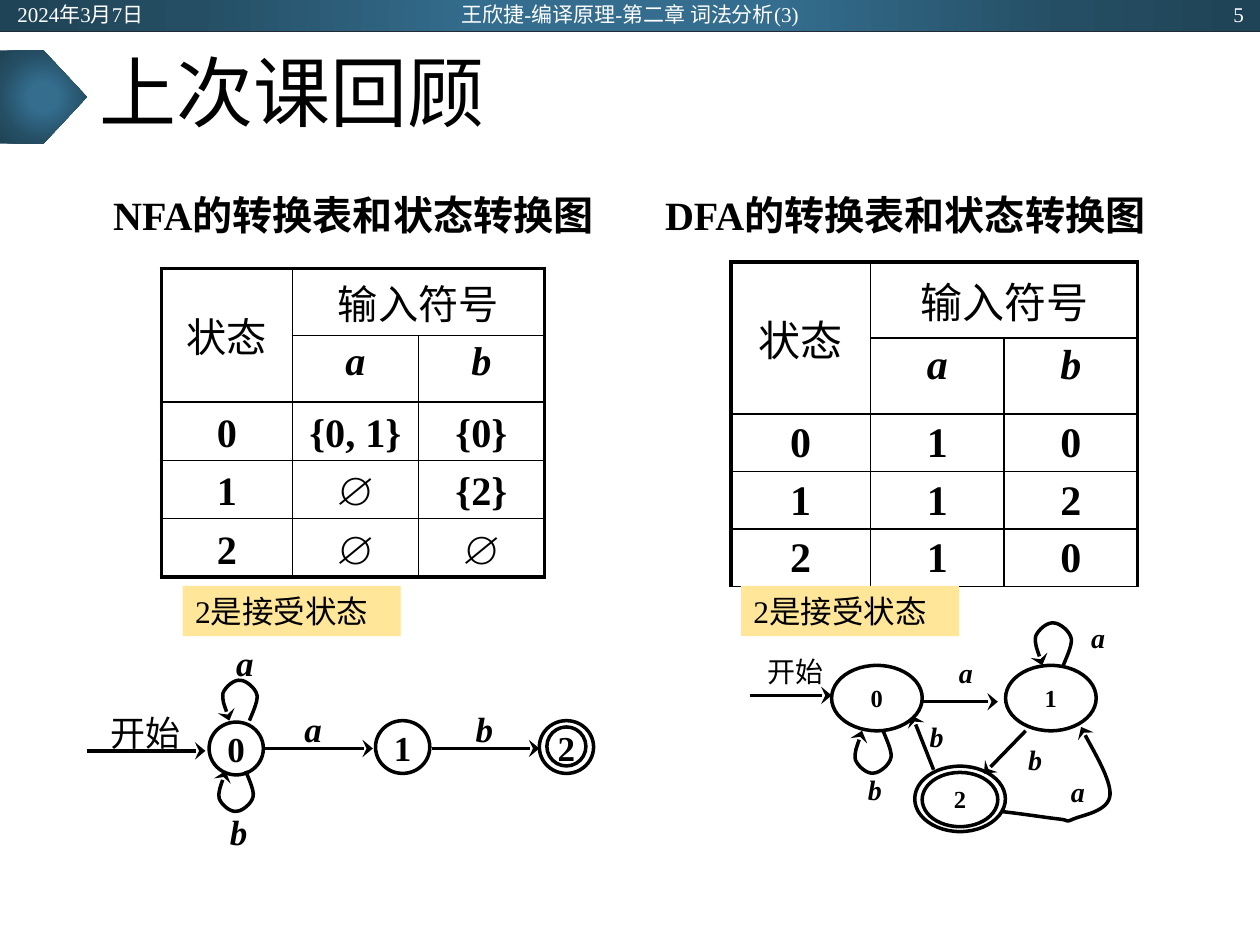
from lxml.etree import SubElement as Sub
from pptx import Presentation
from pptx.dml.color import RGBColor as Rgb
from pptx.enum.shapes import MSO_CONNECTOR as Con, MSO_SHAPE as Geo
from pptx.enum.text import MSO_ANCHOR as Anc, PP_ALIGN as Al
from pptx.oxml import parse_xml
from pptx.oxml.ns import nsdecls, qn
from pptx.util import Pt

# Theme
THEME = dict(
    ink="000000", white="FFFFFF", note="FFE699", rule="222A35",
    grad=[(0, "346D8E"), (23, "346D8E"), (69, "254E64"), (97, "204457")],
    face="Times New Roman", cjk="Noto Sans CJK SC", alt="Karla",
    title=44, head=22.9, bar=12, tip=18, wide=2.25, thin=1, edge=2)
INS = (7.2, 3.6, 7.2, 3.6)
TIGHT = (2.9, 1.4, 2.9, 1.4)

# Content: x, y, w, h, text, format
BAR = [
    (2.9, 0.7, 162, 14.4, "2024年3月7日", dict(align=Al.LEFT)),
    (238.3, 0.7, 243.4, 14.4, "王欣捷-编译原理-第二章 词法分析(3)", {}),
    (555.8, 0.7, 162, 14.4, "5", dict(align=Al.RIGHT))]
HEADS = [(49.7, 304.6, "NFA的转换表和状态转换图"),
         (364.3, 306, "DFA的转换表和状态转换图")]
TOP = [["状态", "输入符号", ""], ["", "a", "b"]]
TABLES = [
    dict(at=(92.2, 153.4), cols=(74.9, 72, 72), rows=(38.2, 38.2, 33.3, 33.3, 33.3),
         size=23, pad=(5, 2.2), drop=5.5, base=THEME["wide"],
         data=TOP + [["0", "{0, 1}", "{0}"], ["1", "∅", "{2}"], ["2", "∅", "∅"]]),
    dict(at=(417.6, 149.8), cols=(79.9, 76.3, 76.3), rows=(43.4, 43.4, 32.8, 32.8, 32.8),
         size=24, pad=(8.6, 4.3), drop=3.6, base=THEME["thin"],
         data=TOP + [["0", "1", "0"], ["1", "1", "2"], ["2", "1", "0"]])]
NOTES = [(104.4, "2是接受状态"), (423.4, "2是接受状态")]
# Graphs: nodes x, y, text; rings x, y; lines x1, y1, x2, y2;
# loops x, y, side (-1 above, 1 below), scale; tags x, y, text
GRAPHS = [
    dict(node=(31, 30.2), ring=(22.3, 22.3), tag=(25.2, 24.5), size=20, tsize=20,
         nodes=[(119.5, 412.6, "0"), (214.6, 411.8, "1"), (308.2, 411.8, "2")],
         rings=[(312.5, 415.4)],
         lines=[(49.7, 429.1, 117.4, 429.1), (151.2, 427.7, 213.1, 427.7),
                (247, 427.7, 308.2, 427.7)],
         loops=[(142.6, 411.8, -1, 1), (140.4, 440.6, 1, 1)], arcs=[],
         start=(58.3, 403.9, 49.7, 28.8),
         tags=[(166.3, 403.9, "a"), (127.4, 366.5, "a"),
               (123.8, 463, "b"), (264.2, 403.9, "b")]),
    dict(node=(51.8, 37.4), ring=(43.2, 31), tag=(26.6, 25.9), size=14, tsize=16,
         nodes=[(475.2, 380.2, "0"), (574.6, 380.2, "1"), (522.7, 437.8, "2")],
         rings=[(527, 441.4)],
         lines=[(428.4, 397.4, 475.2, 397.4), (527, 401, 570.2, 401),
                (586.1, 417.6, 562.3, 442.1), (533.5, 439.9, 521.3, 409)],
         loops=[(504.7, 417.6, 1, 1.05), (607.7, 380.2, -1, 1.05)],
         arcs=[[(571.7, 463.7), (584.6, 465.1), (598.3, 467.3), (604.8, 468),
                (612, 468.7), (608.4, 470.2), (613.4, 468), (618.5, 465.8),
                (633.6, 463.7), (634.3, 454.3), (635, 445.7), (619.9, 420.5),
                (617.8, 415.4)]],
         start=(423.4, 374.4, 62.6, 18.7),
         tags=[(538.6, 371.5, "a"), (486.7, 437.8, "b"), (614.2, 351.4, "a"),
               (578.2, 421.2, "b"), (602.6, 439.2, "a"), (522, 407.9, "b")])]
# Self-loop curve, relative to its start, opening downwards
LOOP = [(0, 0), (0.7, 2.2), (5, 10.8), (4.3, 14.4), (3.6, 18.7), (-2.2, 23),
        (-5, 23), (-8.6, 23.8), (-13.7, 19.4), (-15.1, 15.8), (-15.8, 11.5),
        (-12.2, 2.9), (-11.5, 0)]


def pts(*nums):
    return [Pt(n) for n in nums]


def inset(item, ins, anchor):
    sides = ("margin_left", "margin_top", "margin_right", "margin_bottom")
    for key, val in zip(sides, pts(*ins)):
        setattr(item, key, val)
    item.vertical_anchor = anchor


def write(frame, text, size, color="ink", face=THEME["face"], align=Al.CENTER,
          gap=None, **style):
    par = frame.paragraphs[0]
    par.alignment, par.line_spacing = align, gap
    run = par.add_run()
    run.text = text
    for key, val in dict(size=Pt(size), name=face, **style).items():
        setattr(run.font, key, val)
    run.font.color.rgb = Rgb.from_string(THEME[color])
    Sub(run.font._element, qn("a:ea"), typeface=THEME["cjk"])


def put(item, text, size, ins=INS, anchor=Anc.MIDDLE, wrap=True, **fmt):
    frame = item.text_frame
    inset(frame, ins, anchor)
    frame.word_wrap = wrap
    write(frame, text, size, **fmt)


def label(box, x, y, w, h, text, size, **fmt):
    put(box.add_textbox(*pts(x, y, w, h)), text, size, **fmt)


def ink(line, color="ink", width=THEME["edge"]):
    line.color.rgb, line.width = Rgb.from_string(THEME[color]), Pt(width)


def shape(box, geo, *at):
    item = box.add_shape(geo, *pts(*at))
    item.shadow.inherit = False
    item.fill.background()
    item.line.fill.background()
    return item


def shade(item):
    stops = "".join(f'<a:gs pos="{p}000"><a:srgbClr val="{c}"/></a:gs>'
                    for p, c in THEME["grad"])
    fill = parse_xml(
        f'<a:gradFill {nsdecls("a")}><a:gsLst>{stops}</a:gsLst><a:path path="circle">'
        '<a:fillToRect l="50000" t="50000" r="50000" b="50000"/></a:path></a:gradFill>')
    old = item._element.spPr.find(qn("a:noFill"))
    old.getparent().replace(old, fill)


def head(item):
    Sub(item.line._get_or_add_ln(), qn("a:tailEnd"), type="stealth", w="lg", len="med")


def line(box, *at, **fmt):
    item = box.add_connector(Con.STRAIGHT, *pts(*at))
    ink(item.line, **fmt)
    Sub(item._element.spPr, qn("a:effectLst"))
    return item


def curve(box, dots):
    dots = [pts(*dot) for dot in dots]
    pen = box.build_freeform(*dots[0], scale=1)
    pen.add_line_segments(dots[1:], close=False)
    item = pen.convert_to_shape()
    item.shadow.inherit = False
    item.fill.background()
    ink(item.line)
    head(item)
    # Each three points become one Bezier segment
    trace = item._element.find(".//" + qn("a:path"))
    steps = trace.findall(qn("a:lnTo"))
    for i in range(0, len(steps), 3):
        bend = Sub(trace, qn("a:cubicBezTo"))
        for step in steps[i:i + 3]:
            bend.append(step[0])
            trace.remove(step)


def border(cell, widths):
    props = cell._tc.get_or_add_tcPr()
    for i, (side, width) in enumerate(zip("LRTB", widths)):
        props.insert(i, parse_xml(
            f'<a:ln{side} {nsdecls("a")} w="{Pt(width)}"><a:solidFill>'
            f'<a:srgbClr val="{THEME["ink"]}"/></a:solidFill></a:ln{side}>'))


def table(box, at, cols, rows, size, pad, drop, base, data):
    grid = box.add_table(len(rows), len(cols), *pts(*at, sum(cols), sum(rows))).table
    grid.first_row = grid.horz_banding = False
    for col, w in zip(grid.columns, cols):
        col.width = Pt(w)
    for row, h in zip(grid.rows, rows):
        row.height = Pt(h)
    grid.cell(0, 0).merge(grid.cell(1, 0))
    grid.cell(0, 1).merge(grid.cell(0, 2))
    wide, thin = THEME["wide"], THEME["thin"]
    for r, row in enumerate(data):
        for c, text in enumerate(row):
            cell = grid.cell(r, c)
            cell.fill.background()
            # The merged header also reaches the right edge
            edge = c == 2 or (r, c) == (0, 1)
            border(cell, (thin if c else wide, wide if edge else thin,
                          thin if r else wide, base if r == 4 else thin))
            if not text:
                continue
            if r == 0:
                inset(cell, pad * 2, Anc.TOP if c else Anc.MIDDLE)
                write(cell.text_frame, text, size, face=THEME["cjk" if c else "alt"])
            else:
                inset(cell, (3.6, 2.2, 3.6, 2.2) if r == 1 else (0, drop, 0, 0), Anc.TOP)
                write(cell.text_frame, text, size, bold=True, italic=r == 1)


def graph(box, node, ring, tag, size, tsize, nodes, rings, lines, loops, arcs, start, tags):
    for x, y, text in nodes:
        item = shape(box, Geo.OVAL, x, y, *node)
        ink(item.line)
        put(item, text, size, ins=TIGHT, wrap=False, bold=True)
    for x, y in rings:
        ink(shape(box, Geo.OVAL, x, y, *ring).line)
    for ends in lines:
        head(line(box, *ends))
    turns = [[(x + k * dx, y + side * k * dy) for dx, dy in LOOP] for x, y, side, k in loops]
    for dots in turns + arcs:
        curve(box, dots)
    label(box, *start, "开始", tsize, ins=TIGHT)
    for x, y, text in tags:
        label(box, x, y, *tag, text, tsize, ins=TIGHT, bold=True, italic=True)


def main():
    deck = Presentation()
    deck.slide_width, deck.slide_height = pts(720, 540)
    page = deck.slides.add_slide(deck.slide_layouts[6]).shapes
    # Top bar and title marker
    shade(shape(page, Geo.RECTANGLE, 0, 0, 720, 18))
    line(page, 0, 18, 720, 18, color="rule", width=0.5)
    shade(shape(page, Geo.PENTAGON, 0, 28.8, 49.7, 53.3))
    for *spot, fmt in BAR:
        label(page, *spot, THEME["bar"], color="white", **fmt)
    # Headings
    label(page, 49.7, 18, 620.6, 74.9, "上次课回顾", THEME["title"], align=Al.LEFT, gap=0.9)
    for x, w, text in HEADS:
        label(page, x, 103.7, w, 36.7, text, THEME["head"], anchor=Anc.BOTTOM,
              gap=0.9, bold=True)
    # Transition tables and state graphs
    for info in TABLES:
        table(page, **info)
    for info in GRAPHS:
        graph(page.add_group_shape().shapes, **info)
    # Accepting-state notes
    for x, text in NOTES:
        item = shape(page, Geo.RECTANGLE, x, 334.8, 124.6, 28.8)
        item.fill.solid()
        item.fill.fore_color.rgb = Rgb.from_string(THEME["note"])
        put(item, text, THEME["tip"], align=Al.LEFT, anchor=Anc.TOP)
    deck.save("out.pptx")


if __name__ == "__main__":
    main()
